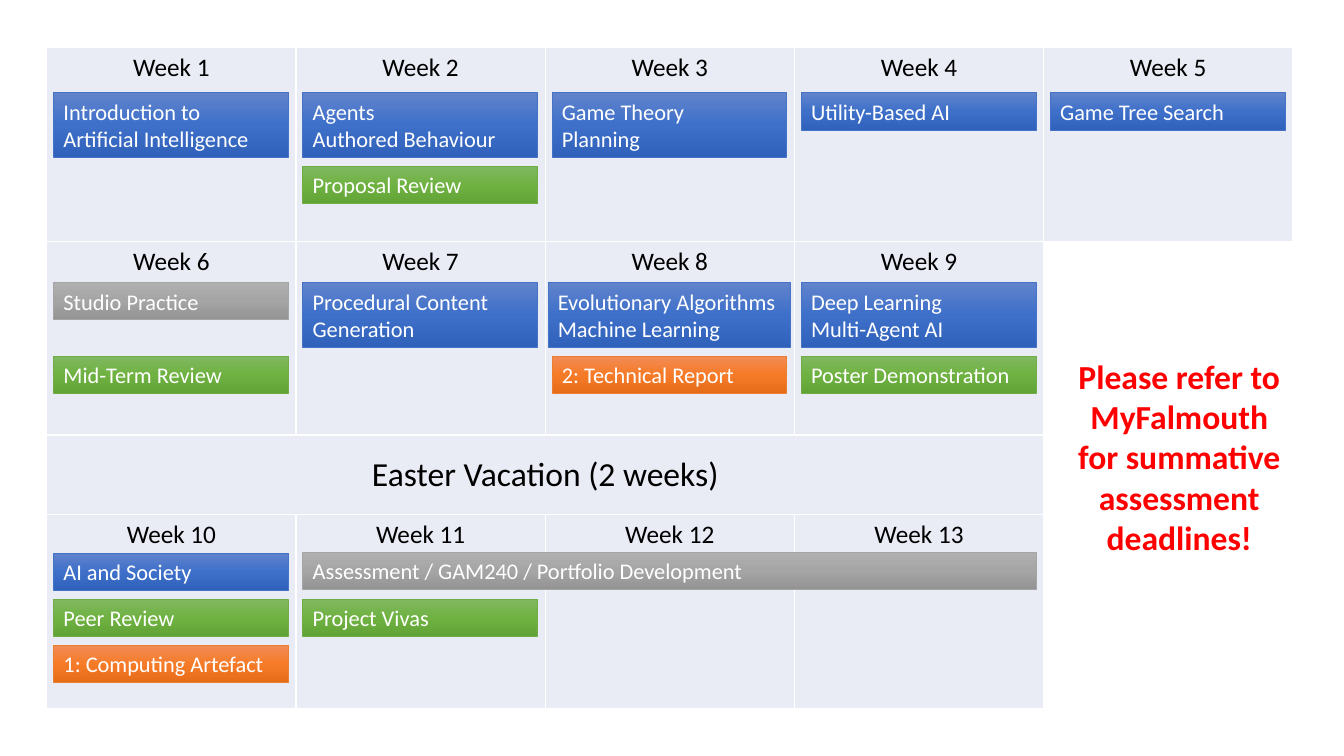
"""Build the thirteen-week module timetable slide."""
from copy import deepcopy

from lxml import etree
from pptx import Presentation
from pptx import util as u
from pptx.dml.color import RGBColor
from pptx.enum import shapes, text
from pptx.oxml.ns import qn

WHITE = RGBColor(0xFF, 0xFF, 0xFF)
BLACK = RGBColor(0, 0, 0)
RED = RGBColor(0xFF, 0, 0)
PALE = RGBColor(0xE9, 0xEB, 0xF5)
BLUE = RGBColor(0x44, 0x72, 0xC4)
GREEN = RGBColor(0x70, 0xAD, 0x47)
ORANGE = RGBColor(0xED, 0x7D, 0x31)
GREY = RGBColor(0xA5, 0xA5, 0xA5)
SHADES = {
    BLUE: (RGBColor(0x61, 0x83, 0xCB), RGBColor(0x3E, 0x70, 0xCA), RGBColor(0x30, 0x62, 0xBB)),
    GREEN: (RGBColor(0x81, 0xB8, 0x61), RGBColor(0x6F, 0xB2, 0x42), RGBColor(0x62, 0xA3, 0x36)),
    ORANGE: (RGBColor(0xF1, 0x8C, 0x57), RGBColor(0xF6, 0x7B, 0x28), RGBColor(0xE5, 0x6C, 0x19)),
    GREY: (RGBColor(0xAF, 0xAF, 0xAF), GREY, RGBColor(0x93, 0x93, 0x93)),
}
WEEK_WIDTH = 6.28
SESSION_WIDTH = 5.92
ROW_HEIGHTS = (4.88, 4.88, 2.01, 4.88)


def write(frame, wording, align, size, color, bold=False):
    frame.text = wording
    for paragraph in frame.paragraphs:
        paragraph.alignment = align
        paragraph.font.color.rgb = color
        for key, value in {"name": "Calibri", "size": u.Pt(size), "bold": bold}.items():
            setattr(paragraph.font, key, value)


deck = Presentation()
deck.slide_width, deck.slide_height = u.Cm(33.87), u.Cm(19.05)
slide = deck.slides.add_slide(deck.slide_layouts[6])

timetable = slide.shapes.add_table(
    4, 5, u.Cm(1.18), u.Cm(1.2), u.Cm(5 * WEEK_WIDTH), u.Cm(sum(ROW_HEIGHTS))).table
timetable.first_row = timetable.horz_banding = False
for column in timetable.columns:
    column.width = u.Cm(WEEK_WIDTH)
for row, height in zip(timetable.rows, ROW_HEIGHTS):
    row.height = u.Cm(height)

for r in range(4):
    for c in range(5):
        cell = timetable.cell(r, c)
        properties = cell._tc.get_or_add_tcPr()
        for side in ("lnL", "lnR", "lnT", "lnB"):
            border = etree.SubElement(properties, qn(f"a:{side}"), w="12700")
            paint = etree.SubElement(border, qn("a:solidFill"))
            etree.SubElement(paint, qn("a:srgbClr"), val=str(WHITE))
        cell.fill.solid()
        cell.fill.fore_color.rgb = WHITE if c == 4 and r > 0 else PALE

for r, first_week, count in ((0, 1, 5), (1, 6, 4), (3, 10, 4)):
    for c in range(count):
        write(timetable.cell(r, c).text_frame, f"Week {first_week + c}",
              text.PP_ALIGN.CENTER, 18, BLACK)
vacation = timetable.cell(2, 0)
vacation.merge(timetable.cell(2, 3))
vacation.vertical_anchor = text.MSO_ANCHOR.MIDDLE
write(vacation.text_frame, "Easter Vacation (2 weeks)", text.PP_ALIGN.CENTER, 24, BLACK)

sessions = [
    (0, 2.34, 2, BLUE, "Introduction to Artificial Intelligence"),
    (1, 2.34, 2, BLUE, "Agents\nAuthored Behaviour"),
    (2, 2.34, 2, BLUE, "Game Theory\nPlanning"),
    (3, 2.34, 1, BLUE, "Utility-Based AI"),
    (4, 2.34, 1, BLUE, "Game Tree Search"),
    (1, 4.19, 1, GREEN, "Proposal Review"),
    (0, 7.12, 1, GREY, "Studio Practice"),
    (1, 7.12, 2, BLUE, "Procedural Content Generation"),
    (2, 7.12, 2, BLUE, "Evolutionary Algorithms\nMachine Learning"),
    (3, 7.12, 2, BLUE, "Deep Learning\nMulti-Agent AI"),
    (0, 8.97, 1, GREEN, "Mid-Term Review"),
    (2, 8.97, 1, ORANGE, "2: Technical Report"),
    (3, 8.97, 1, GREEN, "Poster Demonstration"),
    (0, 13.94, 1, BLUE, "AI and Society"),
    (1, 13.92, 1, GREY, "Assessment / GAM240 / Portfolio Development"),
    (0, 15.1, 1, GREEN, "Peer Review"),
    (1, 15.1, 1, GREEN, "Project Vivas"),
    (0, 16.26, 1, ORANGE, "1: Computing Artefact"),
]
for week, top, lines, color, wording in sessions:
    left, width = 1.35 + week * WEEK_WIDTH, SESSION_WIDTH
    if wording.startswith("Evolutionary"):
        left, width = left - 0.1, width + 0.2
    elif wording.startswith("Assessment"):
        width += 2 * WEEK_WIDTH
    session = slide.shapes.add_shape(
        shapes.MSO_SHAPE.RECTANGLE, u.Cm(left), u.Cm(top), u.Cm(width),
        u.Cm(0.94 if lines == 1 else 1.63))
    session.shadow.inherit = False
    session.fill.gradient()
    session.fill.gradient_angle = 270
    stop_list = session._element.spPr.find(".//" + qn("a:gsLst"))
    stop_list.insert(1, deepcopy(stop_list[0]))
    for stop, position, shade in zip(session.fill.gradient_stops, (0, 0.5, 1), SHADES[color]):
        stop.position = position
        stop.color.rgb = shade
    session.line.color.rgb = color
    session.line.width = u.Pt(0.5)
    session.text_frame.word_wrap = True
    session.text_frame.auto_size = text.MSO_AUTO_SIZE.SHAPE_TO_FIT_TEXT
    write(session.text_frame, wording, text.PP_ALIGN.LEFT, 16, WHITE)

reminder = slide.shapes.add_textbox(u.Cm(26.72), u.Cm(8.84), u.Cm(6), u.Cm(5.39)).text_frame
reminder.word_wrap = True
reminder.auto_size = text.MSO_AUTO_SIZE.SHAPE_TO_FIT_TEXT
write(reminder, "Please refer to MyFalmouth for summative assessment deadlines!",
      text.PP_ALIGN.CENTER, 24, RED, bold=True)

deck.save("out.pptx")
